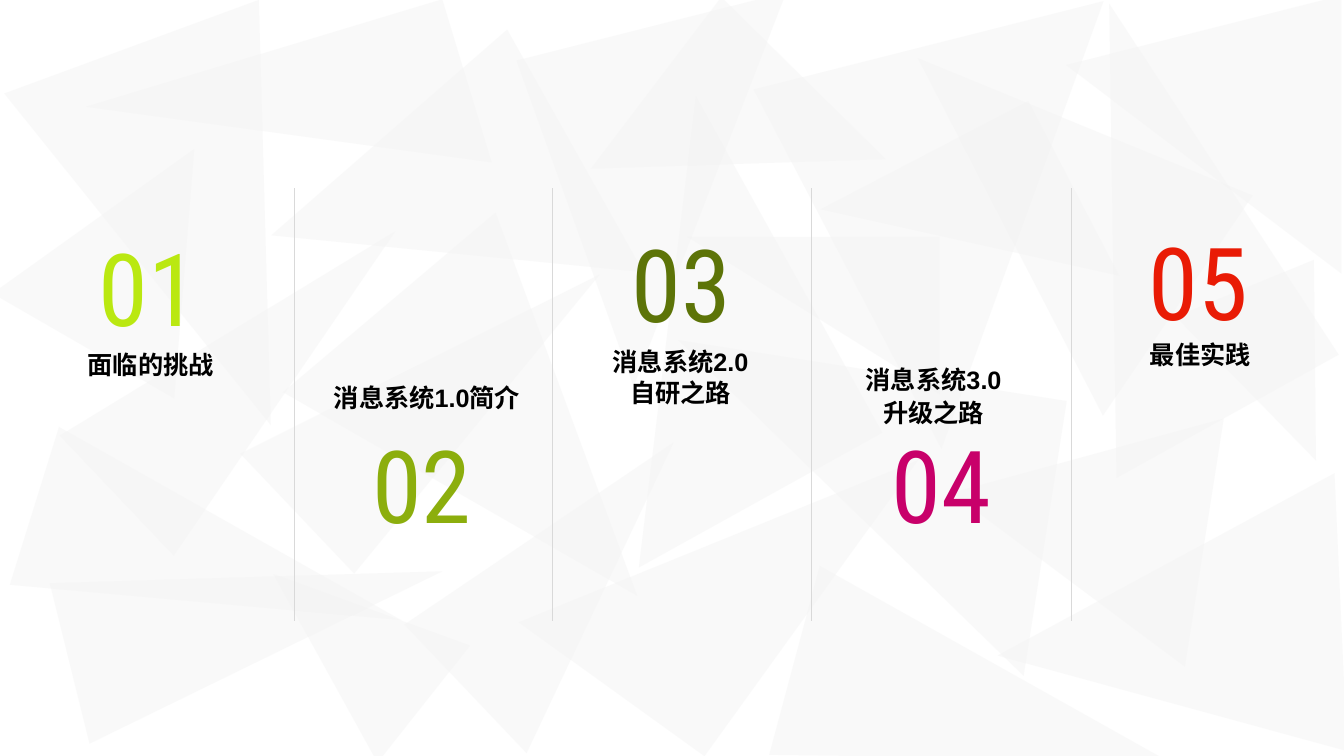
from typing import NamedTuple

from lxml import etree
from pptx import Presentation
from pptx.dml.color import RGBColor
from pptx.enum.shapes import MSO_CONNECTOR, MSO_SHAPE
from pptx.enum.text import MSO_ANCHOR, PP_ALIGN
from pptx.oxml.ns import qn
from pptx.util import Pt

EMU_PER_PX = 9144  # 100 px to the inch
TRIANGLE = MSO_SHAPE.ISOSCELES_TRIANGLE
STRAIGHT = MSO_CONNECTOR.STRAIGHT
CENTER = PP_ALIGN.CENTER
TOP, MIDDLE = MSO_ANCHOR.TOP, MSO_ANCHOR.MIDDLE

COLORS = {
    "background": "FFFFFF",
    "shard": "F2F2F2",
    "divider": "D9D9D9",
    "label": "000000",
    "lime": "BAE811",
    "green": "8CAE0D",
    "olive": "5D7408",
    "magenta": "C8006A",
    "red": "E91B05",
}
SHARD_ALPHA = 42000
NUMBER_FONT = {"name": "Roboto Condensed", "size": Pt(72)}
LABEL_FONT = {"name": "Arial", "size": Pt(18), "bold": True}
NUMBER_SIZE = (189, 194)
DIVIDER_LEFT, DIVIDER_SPAN, DIVIDER_COUNT = 292, 770, 4
DIVIDER_TOP, DIVIDER_BOTTOM = 187, 616


class Box(NamedTuple):
    left: int
    top: int
    width: int
    height: int


class Shard(NamedTuple):
    box: Box
    rotation: float
    apex: float = 0.5


class Chapter(NamedTuple):
    color: str
    number_at: tuple[int, int]
    label_box: Box
    lines: list[str]
    spacing: float = 1.1


SHARDS = [
    Shard(Box(134, 368, 164, 381), 107.3),
    Shard(Box(172, 422, 164, 381), 76.1),
    Shard(Box(65, 34, 269, 400), 159.8),
    Shard(Box(172, 170, 164, 381), 46.5),
    Shard(Box(489, 415, 176, 318), 46.5, 0.3),
    Shard(Box(371, 255, 276, 381), 139.8),
    Shard(Box(944, 391, 249, 255), 278.9, 0.54),
    Shard(Box(706, 309, 276, 390), 278.9, 1),
    Shard(Box(599, 356, 227, 362), 35.8, 1),
    Shard(Box(991, 24, 252, 415), 331, 0.88),
    Shard(Box(524, 139, 276, 381), 331, 1),
    Shard(Box(608, 47, 229, 212), 224.6, 0.88),
    Shard(Box(790, 39, 358, 391), 165.8, 0.74),
    Shard(Box(550, 21, 276, 342), 165.8, 0.88),
    Shard(Box(300, 72, 276, 304), 240.7, 0.77),
    Shard(Box(1021, 444, 276, 342), 267.4, 0.4),
    Shard(Box(729, 188, 156, 250), 270, 1),
    Shard(Box(-35, 170, 248, 188), 274.6, 0.36),
    Shard(Box(202, -51, 169, 369), 253.2, 1),
    Shard(Box(1056, -3, 276, 273), 270, 0.75),
    Shard(Box(351, 188, 164, 381), 46.5, 0.71),
    Shard(Box(875, 514, 194, 381), 105),
    Shard(Box(1196, 279, 148, 185), 157.6),
    Shard(Box(269, 539, 148, 197), 308.3, 0.56),
    Shard(Box(891, 29, 264, 351), 304.2, 0.72),
    Shard(Box(846, 143, 232, 195), 152.5, 0),
]

CHAPTERS = [
    Chapter("lime", (53, 187), Box(4, 344, 291, 42), ["面临的挑战"]),
    Chapter("green", (324, 382), Box(295, 376, 257, 42), ["消息系统1.0简介"]),
    Chapter("olive", (581, 183), Box(546, 344, 258, 62), ["消息系统2.0", "自研之路"], 1.0),
    Chapter("magenta", (839, 382), Box(798, 358, 256, 77), ["消息系统3.0", "升级之路"]),
    Chapter("red", (1094, 181), Box(1062, 334, 257, 42), ["最佳实践"]),
]


def px(*lengths: int) -> list[int]:
    return [length * EMU_PER_PX for length in lengths]


def rgb(name: str) -> RGBColor:
    return RGBColor.from_string(COLORS[name])


def add_shard(shapes, shard: Shard) -> None:
    sp = shapes.add_shape(TRIANGLE, *px(*shard.box))
    sp.adjustments[0] = shard.apex
    sp.rotation = shard.rotation
    sp.shadow.inherit = False
    sp.line.fill.background()
    sp.fill.solid()
    sp.fill.fore_color.rgb = rgb("shard")
    color = sp.fill._xPr.find(f"{qn('a:solidFill')}/{qn('a:srgbClr')}")
    etree.SubElement(color, qn("a:alpha"), val=str(SHARD_ALPHA))


def add_text(shapes, box: Box, lines: list[str], font: dict, color: str,
             anchor: MSO_ANCHOR, spacing: float = 1.0) -> None:
    tf = shapes.add_textbox(*px(*box)).text_frame
    frame_format = {
        "word_wrap": False, "vertical_anchor": anchor,
        "margin_left": 0, "margin_top": 0, "margin_right": 0, "margin_bottom": 0,
    }
    for name, value in frame_format.items():
        setattr(tf, name, value)
    for i, line in enumerate(lines):
        p = tf.add_paragraph() if i else tf.paragraphs[0]
        p.alignment = CENTER
        p.line_spacing = spacing
        r = p.add_run()
        r.text = line
        for name, value in font.items():
            setattr(r.font, name, value)
        r.font.color.rgb = rgb(color)


def add_divider(shapes, x: int) -> None:
    line = shapes.add_connector(STRAIGHT, *px(x, DIVIDER_TOP, x, DIVIDER_BOTTOM))
    line.line.color.rgb = rgb("divider")
    line.line.width = Pt(0.25)
    etree.SubElement(line._element.spPr, qn("a:effectLst"))


def main() -> None:
    prs = Presentation()
    prs.slide_width, prs.slide_height = px(1333, 750)
    slide = prs.slides.add_slide(prs.slide_layouts[6])
    slide.background.fill.solid()
    slide.background.fill.fore_color.rgb = rgb("background")

    backdrop = slide.shapes.add_group_shape()
    for shard in SHARDS:
        add_shard(backdrop.shapes, shard)

    agenda = slide.shapes.add_group_shape()
    for number, chapter in enumerate(CHAPTERS, start=1):
        add_text(agenda.shapes, Box(*chapter.number_at, *NUMBER_SIZE),
                 [f"{number:02}"], NUMBER_FONT, chapter.color, MIDDLE)
        add_text(agenda.shapes, chapter.label_box, chapter.lines,
                 LABEL_FONT, "label", TOP, chapter.spacing)
    for i in range(DIVIDER_COUNT):
        add_divider(agenda.shapes, DIVIDER_LEFT + i * DIVIDER_SPAN // (DIVIDER_COUNT - 1))

    prs.save("out.pptx")


if __name__ == "__main__":
    main()
